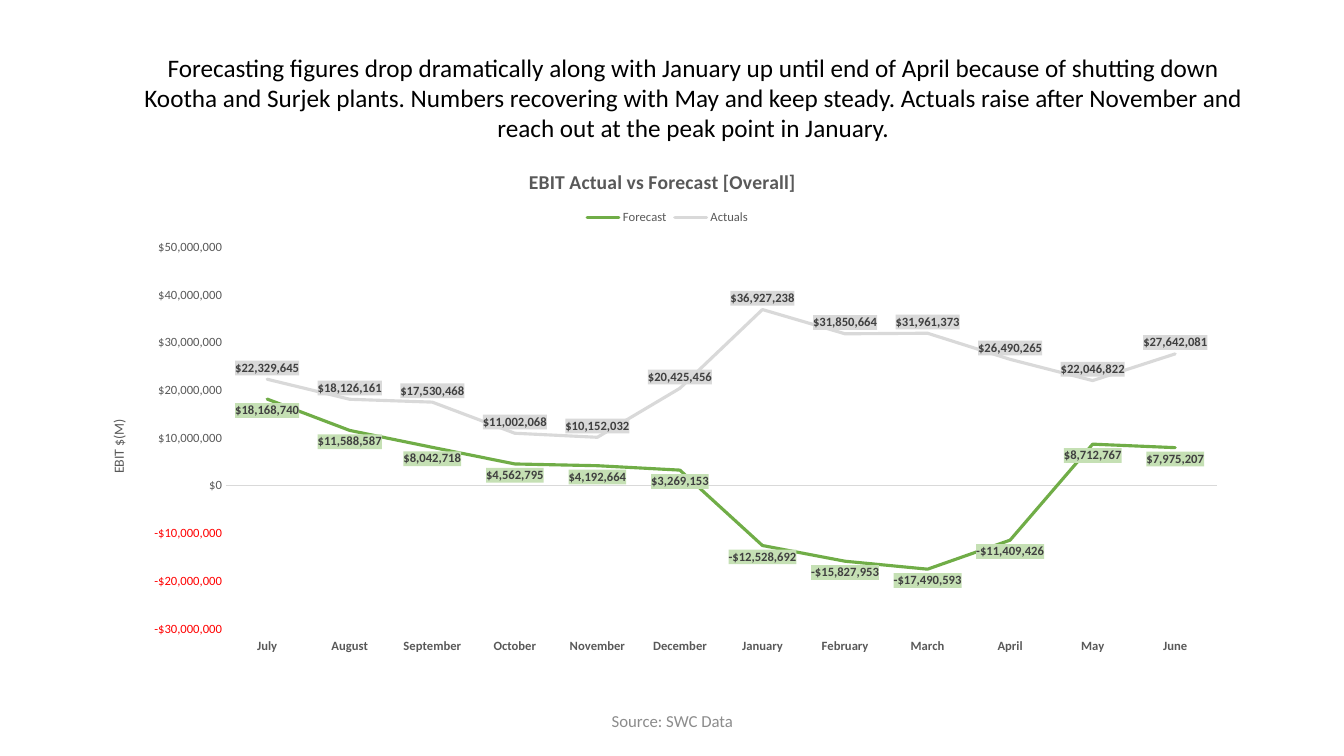
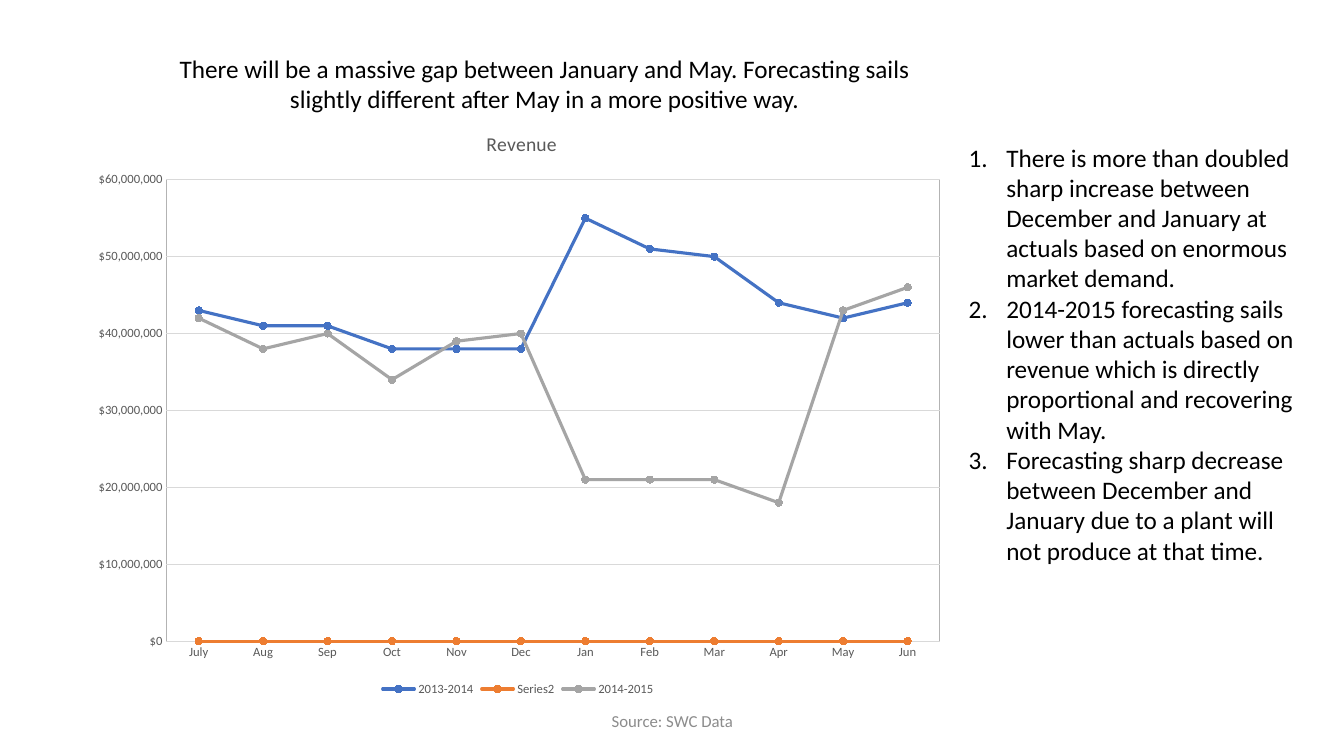
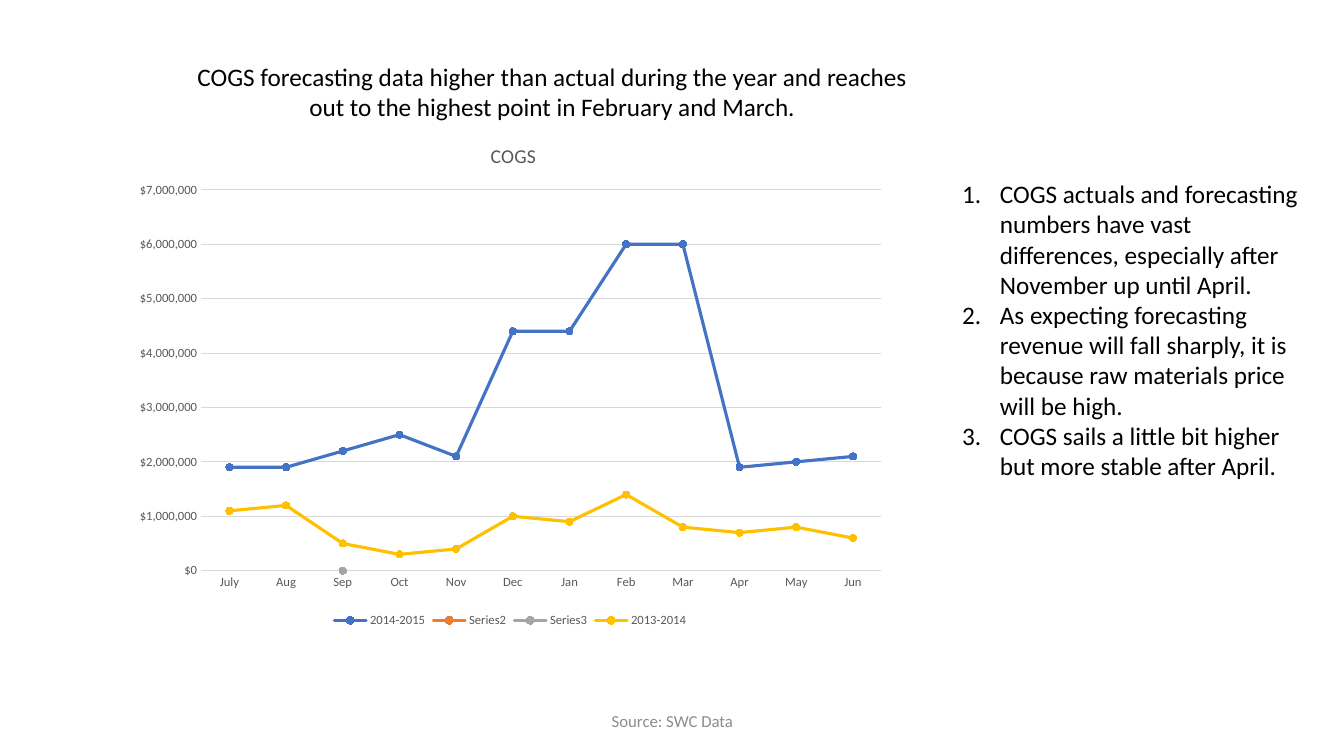
from lxml import etree
from pptx import Presentation, util as u
from pptx.chart import data
from pptx.dml.color import RGBColor
from pptx.enum import chart as ec, text as et
from pptx.oxml import ns, parse_xml

HUES = {"ink": "000000", "soft": "595959", "note": "8C8C8C", "label": "404040",
        "rule": "D9D9D9", "wall": "B3B3B3", "green": "70AD47", "mint": "C5E0B4",
        "blue": "4472C4", "orange": "ED7D31", "grey": "A5A5A5", "gold": "FFC000"}
FACE = "Calibri"
MONEY = '"$"#,##0'
SHORT = ["July", "Aug", "Sep", "Oct", "Nov", "Dec",
         "Jan", "Feb", "Mar", "Apr", "May", "Jun"]
MONTHS = ["July", "August", "September", "October", "November", "December",
          "January", "February", "March", "April", "May", "June"]


def hue(name):
    return RGBColor.from_string(HUES[name])


def style(font, size, color, bold=False):
    font.name, font.size, font.bold = FACE, u.Pt(size), bold
    font.color.rgb = hue(color)


def place(box):
    return [u.Cm(v) for v in box]


def write(slide, box, lines, size=18, color="ink", center=True, middle=False):
    frame = slide.shapes.add_textbox(*place(box)).text_frame
    frame.word_wrap = True
    if middle:
        frame.vertical_anchor = et.MSO_ANCHOR.MIDDLE
    for i, line in enumerate(lines):
        para = frame.add_paragraph() if i else frame.paragraphs[0]
        if center:
            para.alignment = et.PP_ALIGN.CENTER
        run = para.add_run()
        run.text = line
        style(run.font, size, color)
    return frame


def number(slide, box, lines):
    for para in write(slide, box, lines, center=False).paragraphs:
        props = para._p.get_or_add_pPr()
        props.set("marL", str(u.Cm(0.95)))
        props.set("indent", str(-u.Cm(0.95)))
        etree.SubElement(props, ns.qn("a:buFont"), typeface="+mj-lt")
        etree.SubElement(props, ns.qn("a:buAutoNum"), type="arabicPeriod")


def spot(node, **sides):
    old = node.find(ns.qn("c:layout"))
    if old is not None:
        node.remove(old)
    layout = etree.Element(ns.qn("c:layout"))
    manual = etree.SubElement(layout, ns.qn("c:manualLayout"))
    if "w" in sides:
        etree.SubElement(manual, ns.qn("c:layoutTarget"), val="inner")
    for side in "xy":
        etree.SubElement(manual, ns.qn(f"c:{side}Mode"), val="edge")
    for side, part in sides.items():
        etree.SubElement(manual, ns.qn(f"c:{side}"), val=str(part))
    over = node.find(ns.qn("c:overlay"))
    if over is None:
        node.insert(0, layout)
    else:
        over.addprevious(layout)


def paint(fill, line):
    def part(name):
        if name:
            return f'<a:solidFill><a:srgbClr val="{HUES[name]}"/></a:solidFill>'
        return "<a:noFill/>"
    return parse_xml(f'<c:spPr {ns.nsdecls("c", "a")}>{part(fill)}'
                     f'<a:ln w="9525">{part(line)}</a:ln></c:spPr>')


def plot(slide, box, kind, title, cats, rows, head, area, scale, wall=None):
    table = data.CategoryChartData()
    table.categories = cats
    for name, color, unit, vals in rows:
        table.add_series(name, [None if v is None else round(v * unit) for v in vals])
    chart = slide.shapes.add_chart(kind, *place(box), table).chart
    style(chart.font, 10, "ink")
    run = chart.chart_title.text_frame.paragraphs[0].add_run()
    run.text = title
    style(run.font, 14, "soft")
    chart.chart_title.include_in_layout = False
    spot(chart.chart_title._element, **dict(zip("xy", head)))
    chart.has_legend = True
    chart.legend.position = ec.XL_LEGEND_POSITION.BOTTOM
    chart.legend.include_in_layout = False
    style(chart.legend.font, 9, "soft")

    for axis in (chart.category_axis, chart.value_axis):
        axis.major_tick_mark = axis.minor_tick_mark = ec.XL_TICK_MARK.NONE
        style(axis.tick_labels.font, 9, "soft")
    line = chart.category_axis.format.line
    line.color.rgb, line.width = hue("rule"), u.Pt(0.75)
    axis = chart.value_axis
    axis.minimum_scale, axis.maximum_scale, axis.major_unit = scale
    axis.format.line.fill.background()
    axis.tick_labels.number_format = MONEY
    axis.tick_labels.number_format_is_linked = False
    grid = axis.major_gridlines.format.line
    grid.color.rgb, grid.width = hue("rule"), u.Pt(0.75)

    field = chart._chartSpace.chart.plotArea
    spot(field, **dict(zip("xywh", area)))
    field.append(paint(None, wall))
    chart.plots[0].vary_by_categories = False
    for ser, (name, color, unit, vals) in zip(chart.plots[0].series, rows):
        ser.smooth = False
        ser.format.line.color.rgb = hue(color)
        ser.format.line.width = u.Pt(2.25)
        ser._element.spPr.find(ns.qn("a:ln")).set("cap", "rnd")
        if kind == ec.XL_CHART_TYPE.LINE_MARKERS:
            mark = ser.marker
            mark.style, mark.size = ec.XL_MARKER_STYLE.CIRCLE, 5
            mark.format.fill.solid()
            mark.format.fill.fore_color.rgb = hue(color)
            mark.format.line.color.rgb = hue(color)
    return chart


def label(ser, fill, side):
    tags = ser.data_labels
    tags.show_value = True
    tags.number_format = MONEY + r';\-"$"#,##0'
    tags.number_format_is_linked = False
    tags.position = side
    style(tags.font, 9, "label", True)
    tags._element.find(ns.qn("c:numFmt")).addnext(paint(fill, None))


def start(deck, box, title):
    slide = deck.slides.add_slide(deck.slide_layouts[6])
    write(slide, (11.23, 17.65, 11.43, 1.02), ["Source: SWC Data"], 12, "note",
          middle=True)
    write(slide, box, [title])
    return slide


def profit(deck):
    slide = start(deck, (3.15, 1.19, 28.65, 2.57),
                  "Forecasting figures drop dramatically along with January up until end of "
                  "April because of shutting down Kootha and Surjek plants. Numbers recovering "
                  "with May and keep steady. Actuals raise after November and reach out at the "
                  "peak point in January.")
    rows = [("Forecast", "green", 1,
             [18168740, 11588587, 8042718, 4562795, 4192664, 3269153, -12528692,
              -15827953, -17490593, -11409426, 8712767, 7975207]),
            ("Actuals", "rule", 1,
             [22329645, 18126161, 17530468, 11002068, 10152032, 20425456, 36927238,
              31850664, 31961373, 26490265, 22046822, 27642081])]
    chart = plot(slide, (2.21, 3.76, 29.03, 13), ec.XL_CHART_TYPE.LINE,
                 "EBIT Actual vs Forecast [Overall]", MONTHS, rows, (0.38, 0.03),
                 (0.12, 0.19, 0.86, 0.74), (-30e6, 50e6, 10e6))
    chart.chart_title.text_frame.paragraphs[0].runs[0].font.bold = True
    chart.legend.position = ec.XL_LEGEND_POSITION.TOP
    spot(chart.legend._element, x=0.43, y=0.11)
    months, axis = chart.category_axis, chart.value_axis
    months.tick_label_position = ec.XL_TICK_LABEL_POSITION.LOW
    months.tick_labels.font.bold = True
    axis.has_major_gridlines = False
    axis.tick_labels.number_format = MONEY + r';[Red]\-"$"#,##0'
    frame = axis.axis_title.text_frame
    frame._txBody.bodyPr.set("rot", "-5400000")
    run = frame.paragraphs[0].add_run()
    run.text = "EBIT $(M)"
    style(run.font, 10, "soft")
    spots = ec.XL_LABEL_POSITION
    for ser, fill, side in zip(chart.plots[0].series, ("mint", "rule"),
                               (spots.BELOW, spots.ABOVE)):
        label(ser, fill, side)


def sales(deck):
    slide = start(deck, (3.78, 1.22, 19.89, 1.8),
                  "There will be a massive gap between January and May. Forecasting sails "
                  "slightly different after May in a more positive way.")
    rows = [("2013-2014", "blue", 1e6, [43, 41, 41, 38, 38, 38,
                                        55, 51, 50, 44, 42, 44]),
            ("Series2", "orange", 1, [0] * 12),
            ("2014-2015", "grey", 1e6, [42, 38, 40, 34, 39, 40,
                                        21, 21, 21, 18, 43, 46])]
    plot(slide, (1.98, 2.74, 22.15, 14.91), ec.XL_CHART_TYPE.LINE_MARKERS, "Revenue",
         SHORT, rows, (0.46, 0.03), (0.1, 0.12, 0.88, 0.78), (0, 60e6, 10e6), "wall")
    number(slide, (24.16, 3.45, 8.92, 11.02), [
        "There is more than doubled sharp increase between December and January at "
        "actuals based on enormous market demand.",
        "2014-2015 forecasting sails lower than actuals based on revenue which is "
        "directly proportional and recovering with May.",
        "Forecasting sharp decrease between December and January due to a plant will "
        "not produce at that time."])


def costs(deck):
    slide = start(deck, (4.37, 1.42, 19.1, 1.8),
                  "COGS forecasting data higher than actual during the year and reaches out "
                  "to the highest point in February and March.")
    lone = [None, None, 0] + [None] * 9
    rows = [("2014-2015", "blue", 1e6, [1.9, 1.9, 2.2, 2.5, 2.1, 4.4,
                                        4.4, 6, 6, 1.9, 2, 2.1]),
            ("Series2", "orange", 1, lone),
            ("Series3", "grey", 1, lone),
            ("2013-2014", "gold", 1e6, [1.1, 1.2, 0.5, 0.3, 0.4, 1,
                                        0.9, 1.4, 0.8, 0.7, 0.8, 0.6])]
    plot(slide, (3.12, 3.12, 19.48, 12.8), ec.XL_CHART_TYPE.LINE_MARKERS, "COGS",
         SHORT, rows, (0.47, 0.03), (0.1, 0.13, 0.88, 0.75), (0, 7e6, 1e6))
    number(slide, (24, 4.37, 9.27, 7.95), [
        "COGS actuals and forecasting numbers have vast differences, especially after "
        "November up until April.",
        "As expecting forecasting revenue will fall sharply, it is because raw materials "
        "price will be high.",
        "COGS sails a little bit higher but more stable after April."])


deck = Presentation()
deck.slide_width, deck.slide_height = u.Cm(33.87), u.Cm(19.05)
for build in (profit, sales, costs):
    build(deck)
deck.save("out.pptx")
